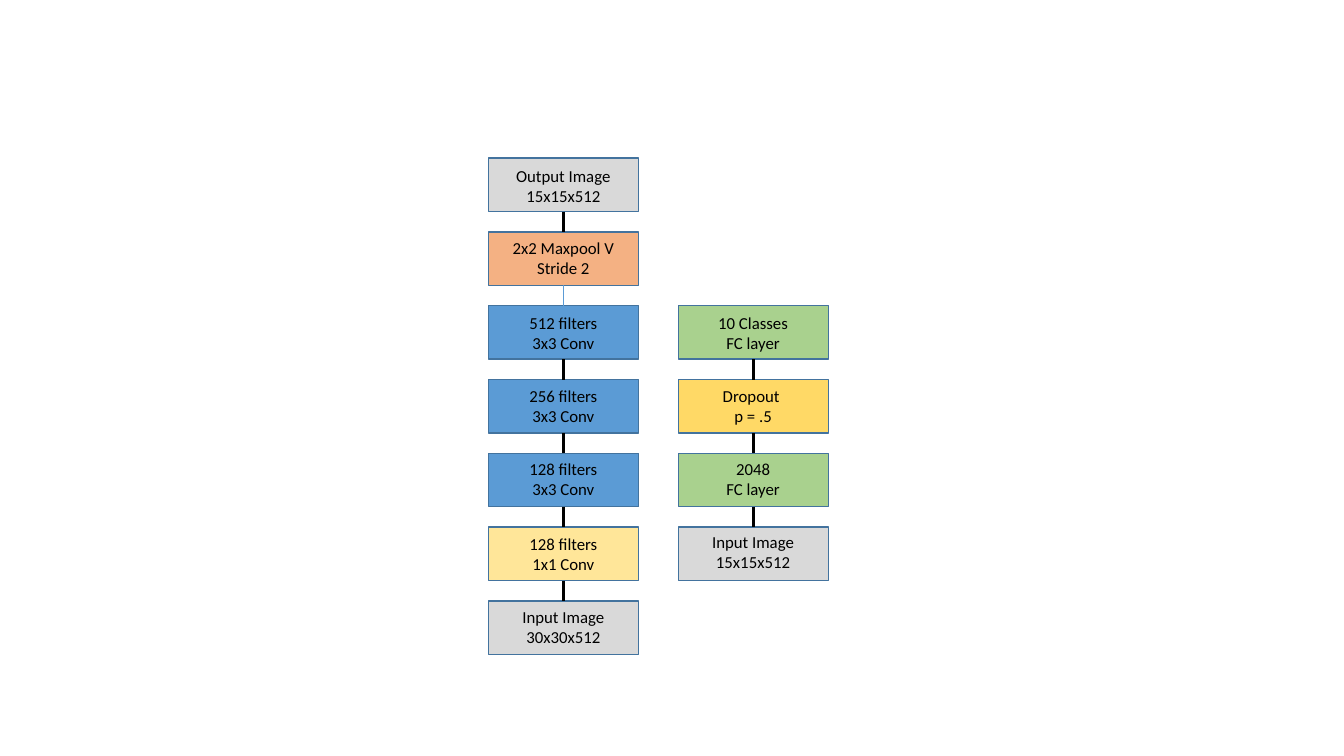
from pptx import Presentation
from pptx.dml.color import RGBColor
from pptx.enum.shapes import MSO_CONNECTOR, MSO_SHAPE
from pptx.enum.text import MSO_AUTO_SIZE, PP_ALIGN
from pptx.oxml.ns import qn
from pptx.util import Pt
from lxml.etree import SubElement

BLACK = RGBColor(0x00, 0x00, 0x00)
OUTLINE = RGBColor(0x43, 0x73, 0x9E)
BLUE = RGBColor(0x5B, 0x9B, 0xD5)
ORANGE = RGBColor(0xF4, 0xB1, 0x83)
GRAY = RGBColor(0xD9, 0xD9, 0xD9)
CREAM = RGBColor(0xFF, 0xE6, 0x99)
GREEN = RGBColor(0xA9, 0xD1, 0x8E)
GOLD = RGBColor(0xFF, 0xD9, 0x66)

# Layer grid, in points
TOP, PITCH = 113, 52.7
BOX_W, BOX_H = 107.3, 38.2
LABEL_W, LABEL_H, LABEL_INSET = 92.2, 36, 7.3

# Each layer: fill, two lines of text, drop of the label below the box top
CONV_BLOCK = [
    (GRAY, ("Output Image", "15x15x512"), 2),
    (ORANGE, ("2x2 Maxpool V", "Stride 2"), 0.7),
    (BLUE, ("512 filters", "3x3 Conv"), 1.4),
    (BLUE, ("256 filters", "3x3 Conv"), 0.7),
    (BLUE, ("128 filters", "3x3 Conv"), 0),
    (CREAM, ("128 filters", "1x1 Conv"), 1.4),
    (GRAY, ("Input Image", "30x30x512"), 0.7),
]
CLASSIFIER = [
    (GREEN, ("10 Classes", "FC layer"), 1.4),
    (GOLD, ("Dropout ", "p = .5"), 0.7),
    (GREEN, ("2048", "FC layer"), 0),
    (GRAY, ("Input Image", "15x15x512"), 0),
]


def add_text(tf, lines, font="Calibri", size=12, color=BLACK, align=PP_ALIGN.CENTER):
    for i, line in enumerate(lines):
        p = tf.paragraphs[0] if i == 0 else tf.add_paragraph()
        p.alignment = align
        r = p.add_run()
        r.text = line
        r.font.name = font
        r.font.size = Pt(size)
        r.font.color.rgb = color


class Diagram:
    def __init__(self, s, outline=OUTLINE, outline_width=1):
        self.s = s
        self.outline = outline
        self.outline_width = outline_width

    def box(self, x, y, fill):
        sp = self.s.shapes.add_shape(MSO_SHAPE.RECTANGLE, Pt(x), Pt(y), Pt(BOX_W), Pt(BOX_H))
        sp.shadow.inherit = False
        sp.fill.solid()
        sp.fill.fore_color.rgb = fill
        sp.line.color.rgb = self.outline
        sp.line.width = Pt(self.outline_width)
        return sp

    def label(self, x, y, lines):
        tb = self.s.shapes.add_textbox(Pt(x), Pt(y), Pt(LABEL_W), Pt(LABEL_H))
        tf = tb.text_frame
        tf.word_wrap = True
        tf.auto_size = MSO_AUTO_SIZE.SHAPE_TO_FIT_TEXT
        add_text(tf, lines)

    def link(self, upper, lower, color=BLACK, width=2.5):
        cn = self.s.shapes.add_connector(MSO_CONNECTOR.STRAIGHT, 0, 0, 0, 0)
        cn.begin_connect(upper, 2)
        cn.end_connect(lower, 0)
        cn.line.color.rgb = color
        cn.line.width = Pt(width)
        SubElement(cn._element.spPr, qn("a:effectLst"))

    def stack(self, x, first_row, layers, thin_link=None):
        boxes = []
        for row, (fill, lines, drop) in enumerate(layers, first_row):
            y = TOP + row * PITCH
            boxes.append(self.box(x, y, fill))
            self.label(x + LABEL_INSET, y + drop, lines)
        for i, (upper, lower) in enumerate(zip(boxes, boxes[1:])):
            if i == thin_link:
                self.link(upper, lower, color=BLUE, width=0.5)
            else:
                self.link(upper, lower)


def main():
    prs = Presentation()
    prs.slide_width, prs.slide_height = Pt(960), Pt(540)
    s = prs.slides.add_slide(prs.slide_layouts[6])
    diagram = Diagram(s)

    # Convolution block on the left, classifier on the right
    diagram.stack(349, 0, CONV_BLOCK, thin_link=1)
    diagram.stack(484.5, 2, CLASSIFIER)

    prs.save("out.pptx")


if __name__ == "__main__":
    main()
